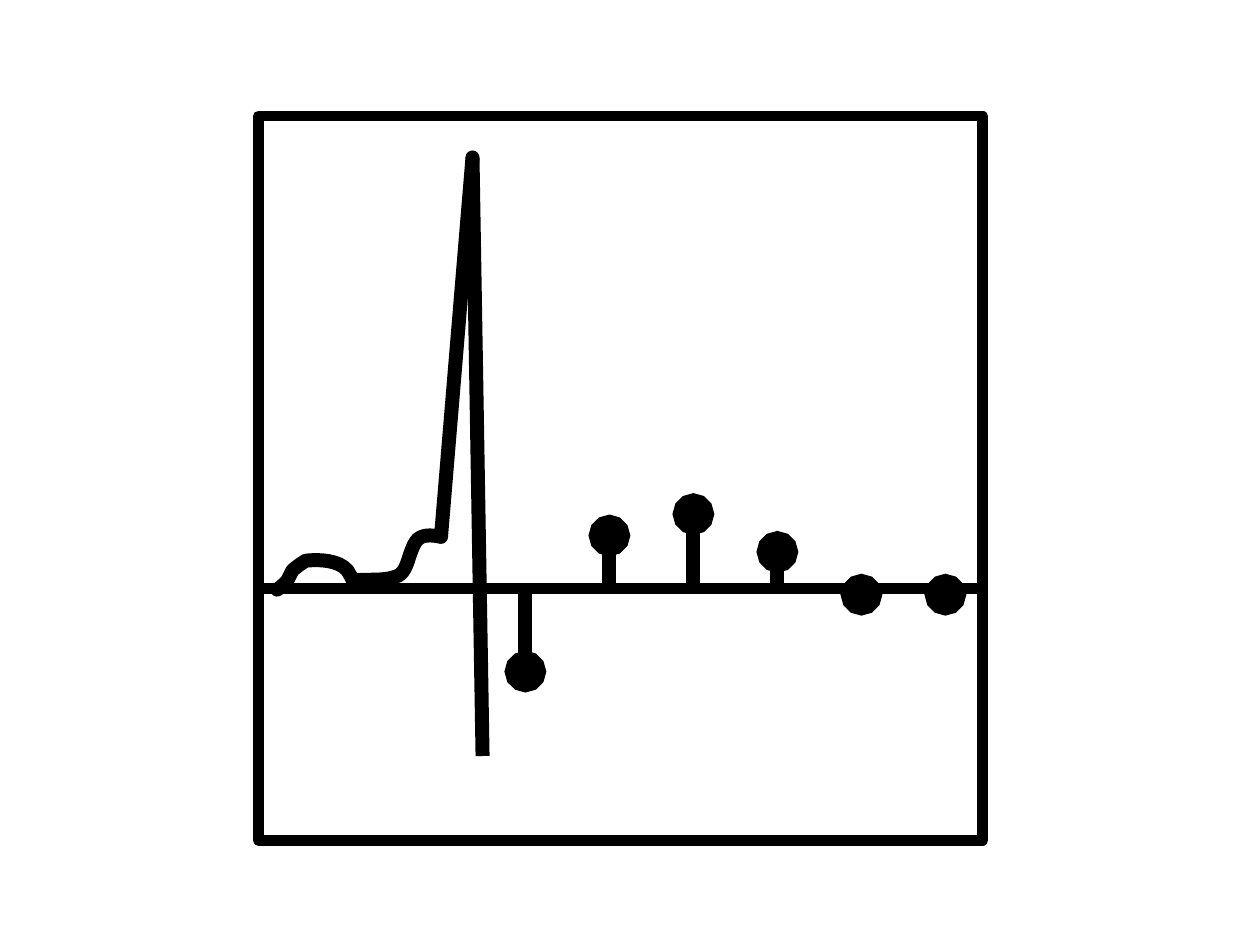
from dataclasses import dataclass
from typing import Any

from pptx import Presentation
from pptx.dml.color import RGBColor
from pptx.enum import shapes as kinds
from pptx.oxml import xmlchemy as xml
from pptx.oxml.ns import qn
from pptx.util import Inches, Pt

Point = tuple[float, float]


@dataclass(frozen=True)
class Theme:
    ink: RGBColor = RGBColor(0, 0, 0)
    thin: float = 6
    thick: float = 8


@dataclass(frozen=True)
class Stem:
    x: float
    tip: float


THEME = Theme()
LEFT, TOP, SIDE = 2.05, 0.92, 5.75
AXIS, ZERO = 4.67, 4.68
STEPS = 10
FOOT, PEAK, DROP = (3.5, 4.26), (3.75, 1.25), (3.83, 6)
START = (2.2, ZERO)
CURVES = [
    ((2.23, 4.66), (2.25, 4.64), (2.28, 4.61)),
    ((2.29, 4.59), (2.31, 4.55), (2.32, 4.53)),
    ((2.35, 4.5), (2.41, 4.46), (2.43, 4.45)),
    ((2.44, 4.45), (2.67, 4.42), (2.76, 4.53)),
    ((2.77, 4.55), (2.79, 4.58), (2.8, 4.61)),
    ((2.92, 4.59), (3.04, 4.62), (3.16, 4.57)),
    ((3.24, 4.53), (3.24, 4.39), (3.3, 4.3)),
    ((3.35, 4.22), (3.48, 4.26), FOOT),
]
TIPS = [5.33, 4.25, 4.08, 4.38, 4.72, 4.72]
STEMS = [Stem(4.17 + i * 2 / 3, tip) for i, tip in enumerate(TIPS)]


def add_tag(parent: Any, name: str, **attrs: str) -> None:
    tag = xml.OxmlElement(name)
    for key, value in attrs.items():
        tag.set(key, value)
    parent.append(tag)


def ink(shape: Any, width: float, cap: str = "flat", tail: str = "") -> None:
    shape.line.color.rgb = THEME.ink
    shape.line.width = Pt(width)
    line = shape._element.spPr.find(qn("a:ln"))
    line.set("cap", cap)
    add_tag(line, "a:round")
    if tail:
        add_tag(line, "a:tailEnd", type=tail, w="med", len="med")


def add_line(group: Any, start: Point, end: Point, width: float,
             cap: str = "flat", tail: str = "") -> None:
    ends = [Inches(n) for n in (*start, *end)]
    line = group.shapes.add_connector(kinds.MSO_CONNECTOR.STRAIGHT, *ends)
    ink(line, width, cap, tail)
    add_tag(line._element.spPr, "a:effectLst")


def bend(a: Point, b: Point, c: Point, d: Point) -> list[Point]:
    points = []
    for step in range(1, STEPS + 1):
        t = step / STEPS
        s = 1 - t
        points.append(tuple(
            s**3 * p + 3 * s**2 * t * q + 3 * s * t**2 * r + t**3 * v
            for p, q, r, v in zip(a, b, c, d)
        ))
    return points


def add_frame(group: Any) -> None:
    box = group.shapes.add_shape(
        kinds.MSO_SHAPE.RECTANGLE,
        Inches(LEFT), Inches(TOP), Inches(SIDE), Inches(SIDE),
    )
    box.shadow.inherit = False
    box.fill.background()
    ink(box, THEME.thin)


def add_wave(group: Any) -> None:
    points, last = [], START
    for curve in CURVES:
        points += bend(last, *curve)
        last = curve[-1]
    pen = group.shapes.build_freeform(*(Inches(n) for n in START))
    pen.add_line_segments(
        [(Inches(x), Inches(y)) for x, y in points], close=False
    )
    wave = pen.convert_to_shape()
    wave.shadow.inherit = False
    wave.fill.background()
    ink(wave, THEME.thick, "rnd")


def main() -> None:
    deck = Presentation()
    deck.slide_width, deck.slide_height = Inches(10), Inches(7.5)
    slide = deck.slides.add_slide(deck.slide_layouts[6])
    plot = slide.shapes.add_group_shape()
    add_frame(plot)
    add_line(plot, (LEFT, AXIS), (LEFT + SIDE, AXIS), THEME.thin)
    add_wave(plot)
    add_line(plot, FOOT, PEAK, THEME.thick, "rnd")
    add_line(plot, PEAK, DROP, THEME.thick)
    for stem in STEMS:
        add_line(plot, (stem.x, ZERO), (stem.x, stem.tip),
                 THEME.thick, tail="oval")
    deck.save("out.pptx")


if __name__ == "__main__":
    main()
